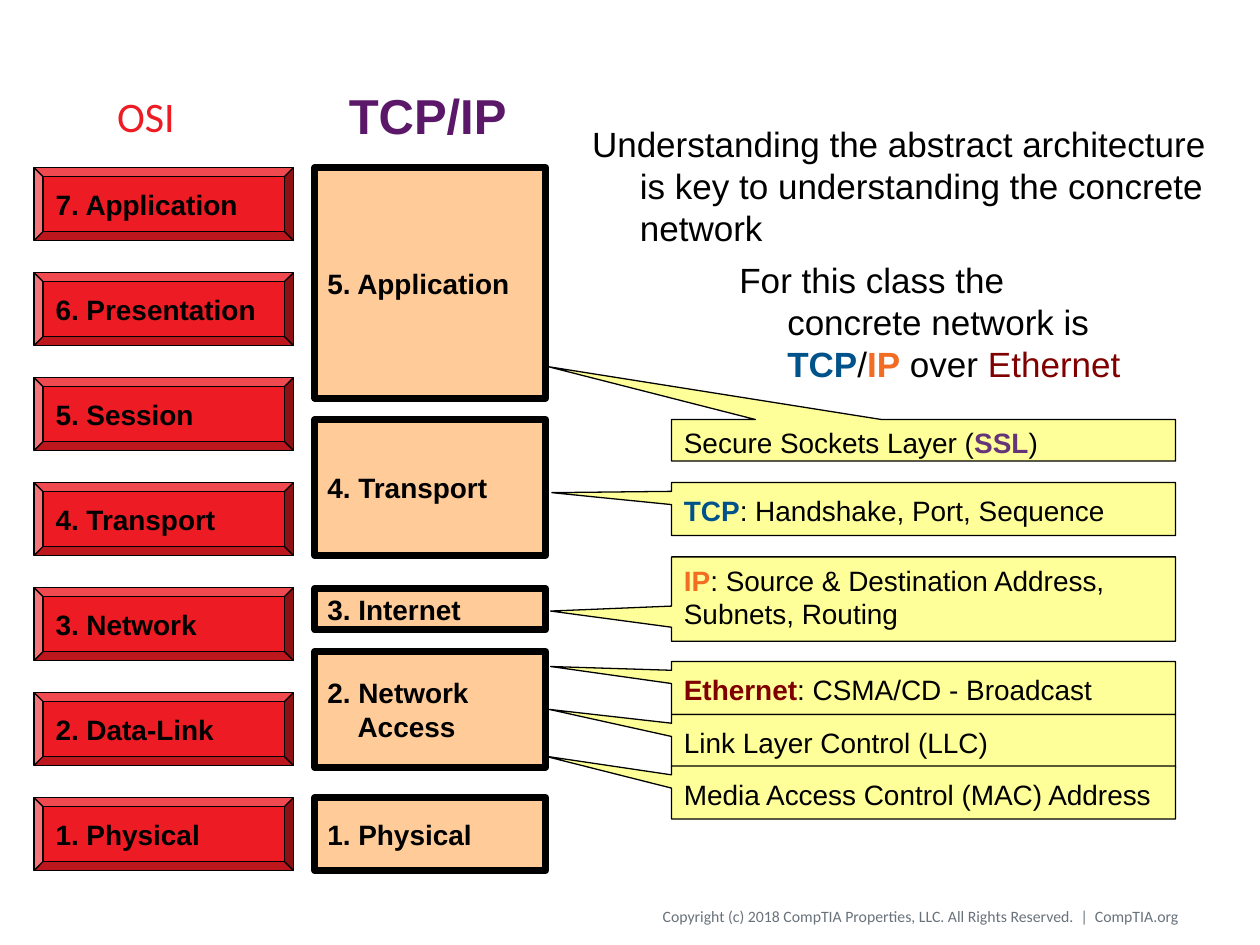
"""Build a slide that compares the OSI and TCP/IP layer models."""
from pptx import Presentation
from pptx.dml.color import RGBColor
from pptx.enum.shapes import MSO_SHAPE as Shape
from pptx.enum.text import MSO_ANCHOR as Anchor, PP_ALIGN as Align
from pptx.util import Inches, Pt

BLACK = RGBColor(0x00, 0x00, 0x00)
RED = RGBColor(0xED, 0x1C, 0x24)
PEACH = RGBColor(0xFF, 0xCC, 0x99)
YELLOW = RGBColor(0xFF, 0xFF, 0x99)
PURPLE = RGBColor(0x5B, 0x18, 0x68)
VIOLET = RGBColor(0x65, 0x35, 0x79)
BLUE = RGBColor(0x00, 0x52, 0x8B)
ORANGE = RGBColor(0xF2, 0x6C, 0x23)
MAROON = RGBColor(0x80, 0x00, 0x00)
GRAY = RGBColor(0x69, 0x72, 0x7B)

OSI_LAYERS = ["Application", "Presentation", "Session", "Transport",
              "Network", "Data-Link", "Physical"]
OSI_TOP, OSI_PITCH, OSI_HEIGHT = 1.33, 0.83333, 0.58

TCP_IP_LAYERS = [
    (1.33, 1.83, ["5. Application"]),
    (3.33, 1.08, ["4. Transport"]),
    (4.67, 0.33, ["3. Internet"]),
    (5.17, 0.92, ["2. Network", "Access"]),
    (6.33, 0.58, ["1. Physical"]),
]

CALLOUT_LEFT, CALLOUT_WIDTH = 5.33, 4
CALLOUTS = [
    (3.33, 0.33, 0.05, (4.35, 2.91),
     [("Secure Sockets Layer (", BLACK, False), ("SSL", VIOLET, True), (")", BLACK, False)]),
    (3.83, 0.42, 0.09, (4.38, 3.91),
     [("TCP", BLUE, True), (": Handshake, Port, Sequence", BLACK, False)]),
    (4.42, 0.67, 0.05, (4.37, 4.85),
     [("IP", ORANGE, True),
      (": Source & Destination Address, Subnets, Routing", BLACK, False)]),
    (5.25, 0.42, 0.09, (4.37, 5.29),
     [("Ethernet", MAROON, True), (": CSMA/CD - Broadcast", BLACK, False)]),
    (5.67, 0.42, 0.09, (4.36, 5.63), [("Link Layer Control (LLC)", BLACK, False)]),
    (6.08, 0.42, 0.09, (4.32, 6.0), [("Media Access Control (MAC) Address", BLACK, False)]),
]

ARCHITECTURE = [("Understanding the abstract architecture is key to "
                 "understanding the concrete network", BLACK, False)]
CLASS_NETWORK = [
    ("For this class the concrete network is ", BLACK, False), ("TCP", BLUE, True),
    ("/", BLACK, False), ("IP", ORANGE, True), (" over ", BLACK, False),
    ("Ethernet", MAROON, False),
]
COPYRIGHT = ("Copyright (c) 2018 CompTIA Properties, LLC. All Rights Reserved."
             "  |  CompTIA.org")


def add_runs(paragraph, runs, size, font="Arial", align=Align.LEFT):
    """Add (text, colour, bold) runs to a paragraph."""
    paragraph.alignment = align
    for text, color, bold in runs:
        run = paragraph.add_run()
        run.text = text
        run.font.name = font
        run.font.size = Pt(size)
        run.font.bold = bold
        run.font.color.rgb = color


def set_indent(paragraph, left, first=0):
    """Set the left margin and first-line indent of a paragraph."""
    properties = paragraph._p.get_or_add_pPr()
    properties.set("marL", str(Inches(left)))
    properties.set("indent", str(Inches(first)))


def add_text(slide, box, runs, size, indent=(0, 0), anchor=Anchor.TOP):
    """Add a wrapped text box with one paragraph."""
    frame = slide.shapes.add_textbox(*map(Inches, box)).text_frame
    frame.word_wrap = True
    frame.vertical_anchor = anchor
    set_indent(frame.paragraphs[0], *indent)
    add_runs(frame.paragraphs[0], runs, size)


def add_box(slide, kind, box, fill, line_width, anchor=Anchor.MIDDLE):
    """Add a filled, outlined shape without a shadow."""
    shape = slide.shapes.add_shape(kind, *map(Inches, box))
    shape.shadow.inherit = False
    shape.fill.solid()
    shape.fill.fore_color.rgb = fill
    shape.line.color.rgb = BLACK
    shape.line.width = Pt(line_width)
    shape.text_frame.word_wrap = True
    shape.text_frame.vertical_anchor = anchor
    return shape


def add_layer(slide, kind, box, fill, line_width, lines):
    """Add a layer box whose lines after the first are indented."""
    frame = add_box(slide, kind, box, fill, line_width).text_frame
    for index, line in enumerate(lines):
        paragraph = frame.add_paragraph() if index else frame.paragraphs[0]
        if index:
            set_indent(paragraph, 0.24)
        add_runs(paragraph, [(line, BLACK, True)], 16)


def add_callout(slide, top, height, inset, tip, runs):
    """Add a callout whose pointer ends at the given tip."""
    box = (CALLOUT_LEFT, top, CALLOUT_WIDTH, height)
    shape = add_box(slide, Shape.RECTANGULAR_CALLOUT, box, YELLOW, 0.75, Anchor.TOP)
    shape.adjustments[0] = (tip[0] - CALLOUT_LEFT) / CALLOUT_WIDTH - 0.5
    shape.adjustments[1] = (tip[1] - top) / height - 0.5
    shape.text_frame.margin_top = Inches(inset)
    add_runs(shape.text_frame.paragraphs[0], runs, 16)


def add_title(slide):
    """Place and format the title placeholder."""
    title = slide.shapes.title
    title.left, title.top, title.width, title.height = map(Inches, (0.83, 0.58, 1.17, 0.67))
    title.text_frame.vertical_anchor = Anchor.MIDDLE
    add_runs(title.text_frame.paragraphs[0], [("OSI", RED, False)], 24, "Calibri")


def add_footer(slide):
    """Add the right-aligned copyright line."""
    box = map(Inches, (3.88, 7.12, 5.47, 0.3))
    frame = slide.shapes.add_textbox(*box).text_frame
    frame.word_wrap = True
    frame.vertical_anchor = Anchor.MIDDLE
    frame.margin_left = frame.margin_right = 0
    add_runs(frame.paragraphs[0], [(COPYRIGHT, GRAY, False)], 9, "Calibri", Align.RIGHT)


def main():
    """Build and save the presentation."""
    presentation = Presentation()
    presentation.slide_width, presentation.slide_height = Inches(10), Inches(7.5)
    slide = presentation.slides.add_slide(presentation.slide_layouts[5])
    add_footer(slide)
    add_title(slide)
    for index, name in enumerate(OSI_LAYERS):
        box = (0.27, OSI_TOP + index * OSI_PITCH, 2.06, OSI_HEIGHT)
        label = f"{len(OSI_LAYERS) - index}. {name}"
        add_layer(slide, Shape.BEVEL, box, RED, 0.75, [label])
    add_text(slide, (2.58, 0.58, 1.75, 0.67), [("TCP/IP", PURPLE, True)], 28,
             (0.09, 0), Anchor.MIDDLE)
    add_text(slide, (4.5, 0.92, 5.25, 1.08), ARCHITECTURE, 20, (0.48, -0.38))
    add_text(slide, (5.67, 2, 3.5, 1.08), CLASS_NETWORK, 20, (0.48, -0.38))
    for top, height, lines in TCP_IP_LAYERS:
        add_layer(slide, Shape.RECTANGLE, (2.5, top, 1.83, height), PEACH, 4, lines)
    for callout in CALLOUTS:
        add_callout(slide, *callout)
    presentation.save("out.pptx")


if __name__ == "__main__":
    main()
